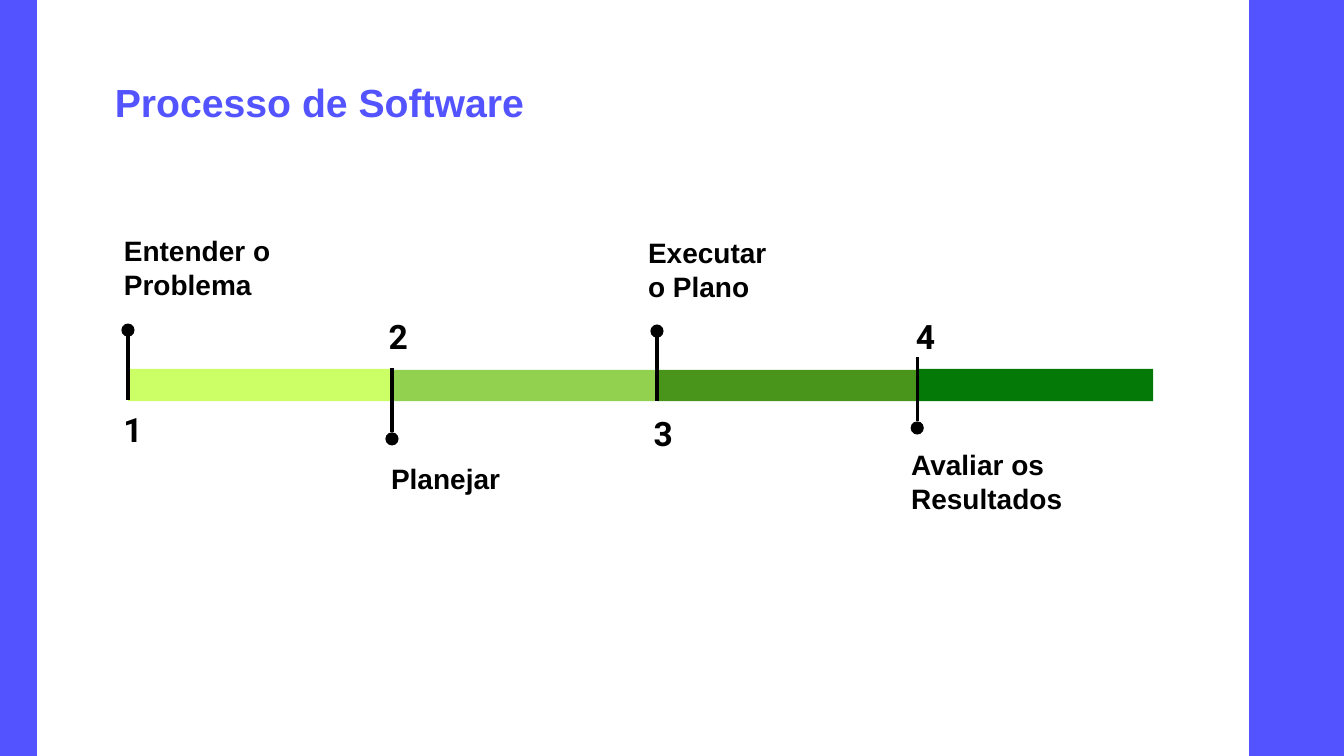
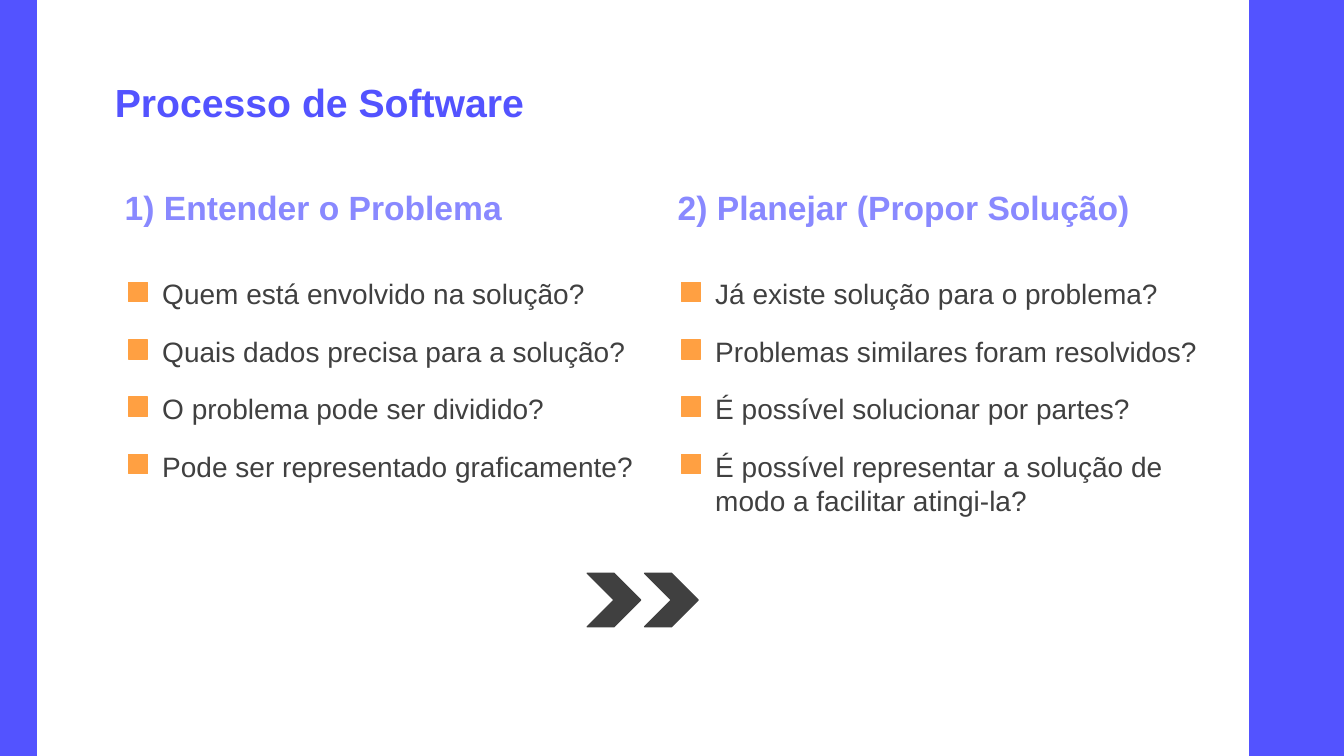
import dataclasses

import lxml.etree
import pptx
import pptx.dml.color
import pptx.enum.shapes
import pptx.enum.text
import pptx.oxml.ns
import pptx.presentation
import pptx.shapes.autoshape
import pptx.slide
import pptx.util

Pt = pptx.util.Pt
Shape = pptx.enum.shapes.MSO_SHAPE
Align = pptx.enum.text.PP_ALIGN
Anchor = pptx.enum.text.MSO_ANCHOR

COLORS = {
    "band": "5353FF",
    "heading": "8989FF",
    "bullet": "FFA042",
    "body": "404040",
    "black": "000000",
    "stage1": "CCFF66",
    "stage2": "92D050",
    "stage3": "49951B",
    "stage4": "057908",
}
PAGE_WIDTH, PAGE_HEIGHT = 960, 540
TITLE = "Processo de Software"
BANDS = ((0, 26), (893, 67))

BAR_BOTTOM = 286.5
PIN_LENGTH = 46
DOT_SIZE = 9.4

COLUMN_LEFT, COLUMN_STEP = 82, 395
ITEM_TOP, ITEM_PITCH, ITEM_LINE = 193.7, 40.9, 23.5
BULLET_SIZE = 13.7
CHEVRON_LEFT, CHEVRON_TOP, CHEVRON_SIZE, CHEVRON_STEP = 419.5, 409.5, 38.2, 41


@dataclasses.dataclass(frozen=True)
class TextStyle:
    size: float
    color: str
    bold: bool = True
    font: str = "Arial"
    align: Align = Align.LEFT
    anchor: Anchor = Anchor.TOP
    inset: float = 7.2
    line_spacing: float = 1.0
    space_before: float = 0


TITLE_STYLE = TextStyle(28, "band", anchor=Anchor.BOTTOM)
LABEL_STYLE = TextStyle(20, "black")
NUMBER_STYLE = TextStyle(24, "black", font="Roboto", align=Align.CENTER, line_spacing=1.15)
HEADING_STYLE = TextStyle(24, "heading", inset=3.6)
ITEM_STYLE = TextStyle(20, "body", bold=False, inset=3.6, space_before=ITEM_PITCH - ITEM_LINE)


@dataclasses.dataclass(frozen=True)
class Stage:
    label: str
    color: str
    left: float
    width: float
    bar_top: float
    pin_top: float
    dot_above: bool
    number_center: float
    number_top: float
    label_left: float
    label_top: float
    label_width: float


@dataclasses.dataclass(frozen=True)
class Column:
    heading: str
    items: tuple[str, ...]


STAGES = (
    Stage("Entender o Problema", "stage1", 91.4, 189.4, 263.5, 239.8, True,
          95, 280.8, 81.4, 159.8, 134.6),
    Stage("Planejar", "stage2", 280, 188, 264.2, 262.8, False,
          284.4, 213.8, 272.2, 322.6, 114.5),
    Stage("Executar\no Plano", "stage3", 469.3, 187, 264.2, 240.5, True,
          473.8, 283.7, 455.8, 161.3, 125.3),
    Stage("Avaliar os\nResultados", "stage4", 655.2, 168.5, 263.5, 255, False,
          661, 213.8, 643.7, 312.5, 147.6),
)
COLUMNS = (
    Column("1) Entender o Problema", (
        "Quem está envolvido na solução?",
        "Quais dados precisa para a solução?",
        "O problema pode ser dividido?",
        "Pode ser representado graficamente?",
    )),
    Column("2) Planejar (Propor Solução)", (
        "Já existe solução para o problema?",
        "Problemas similares foram resolvidos?",
        "É possível solucionar por partes?",
        "É possível representar a solução de\nmodo a facilitar atingi-la?",
    )),
)


def rgb(name: str) -> pptx.dml.color.RGBColor:
    return pptx.dml.color.RGBColor.from_string(COLORS[name])


def add_block(page: pptx.slide.Slide, kind: Shape, left: float, top: float,
              width: float, height: float, color: str,
              outlined: bool = False) -> pptx.shapes.autoshape.Shape:
    block = page.shapes.add_shape(kind, Pt(left), Pt(top), Pt(width), Pt(height))
    block.shadow.inherit = False
    block.fill.solid()
    block.fill.fore_color.rgb = rgb(color)
    if outlined:
        block.line.color.rgb = rgb(color)
        block.line.width = Pt(1)
    else:
        block.line.fill.background()
    return block


def add_text(page: pptx.slide.Slide, texts: tuple[str, ...], left: float, top: float,
             width: float, height: float, style: TextStyle) -> None:
    box = page.shapes.add_textbox(Pt(left), Pt(top), Pt(width), Pt(height))
    frame = box.text_frame
    frame.word_wrap = True
    frame.vertical_anchor = style.anchor
    frame.margin_left = frame.margin_right = Pt(7.2)
    frame.margin_top = frame.margin_bottom = Pt(style.inset)
    for index, text in enumerate(texts):
        para = frame.add_paragraph() if index else frame.paragraphs[0]
        para.alignment = style.align
        para.line_spacing = style.line_spacing
        para.space_before = Pt(style.space_before if index else 0)
        for number, line in enumerate(text.split("\n")):
            if number:
                para.add_line_break()
            span = para.add_run()
            span.text = line
            span.font.name = style.font
            span.font.size = Pt(style.size)
            span.font.bold = style.bold
            span.font.color.rgb = rgb(style.color)


def add_pin(page: pptx.slide.Slide, stage: Stage) -> None:
    pin_bottom = stage.pin_top + PIN_LENGTH
    pin = page.shapes.add_connector(
        pptx.enum.shapes.MSO_CONNECTOR.STRAIGHT,
        Pt(stage.left), Pt(stage.pin_top), Pt(stage.left), Pt(pin_bottom))
    pin.line.color.rgb = rgb("black")
    pin.line.width = Pt(2.25)
    lxml.etree.SubElement(pin._element.spPr, pptx.oxml.ns.qn("a:effectLst"))
    dot_top = stage.pin_top - DOT_SIZE + 0.7 if stage.dot_above else pin_bottom
    add_block(page, Shape.OVAL, stage.left - DOT_SIZE / 2, dot_top,
              DOT_SIZE, DOT_SIZE, "black")


def add_page(deck: pptx.presentation.Presentation) -> pptx.slide.Slide:
    page = deck.slides.add_slide(deck.slide_layouts[6])
    for left, width in BANDS:
        add_block(page, Shape.RECTANGLE, left, 0, width, PAGE_HEIGHT, "band", True)
    add_text(page, (TITLE,), 75, 56, 390, 40.4, TITLE_STYLE)
    return page


def draw_timeline(page: pptx.slide.Slide) -> None:
    for stage in STAGES:
        add_block(page, Shape.RECTANGLE, stage.left, stage.bar_top, stage.width,
                  BAR_BOTTOM - stage.bar_top, stage.color)
    for number, stage in enumerate(STAGES, 1):
        add_pin(page, stage)
        add_text(page, (str(number),), stage.number_center - 30, stage.number_top,
                 60, 38, NUMBER_STYLE)
        add_text(page, (stage.label,), stage.label_left, stage.label_top,
                 stage.label_width, 72 if len(stage.label) > 8 else 41, LABEL_STYLE)


def draw_questions(page: pptx.slide.Slide) -> None:
    for index, column in enumerate(COLUMNS):
        left = COLUMN_LEFT + index * COLUMN_STEP
        add_text(page, (column.heading,), left, 130.3, 373, 36, HEADING_STYLE)
        add_text(page, column.items, left + 26.8, ITEM_TOP, 384, 155, ITEM_STYLE)
        for row in range(len(column.items)):
            add_block(page, Shape.RECTANGLE, left + 9.9, ITEM_TOP + 8.2 + row * ITEM_PITCH,
                      BULLET_SIZE, BULLET_SIZE, "bullet", True)
    for index in range(2):
        add_block(page, Shape.CHEVRON, CHEVRON_LEFT + index * CHEVRON_STEP, CHEVRON_TOP,
                  CHEVRON_SIZE, CHEVRON_SIZE, "body", True)


def main() -> None:
    deck = pptx.Presentation()
    deck.slide_width, deck.slide_height = Pt(PAGE_WIDTH), Pt(PAGE_HEIGHT)
    draw_timeline(add_page(deck))
    draw_questions(add_page(deck))
    deck.save("out.pptx")


if __name__ == "__main__":
    main()
